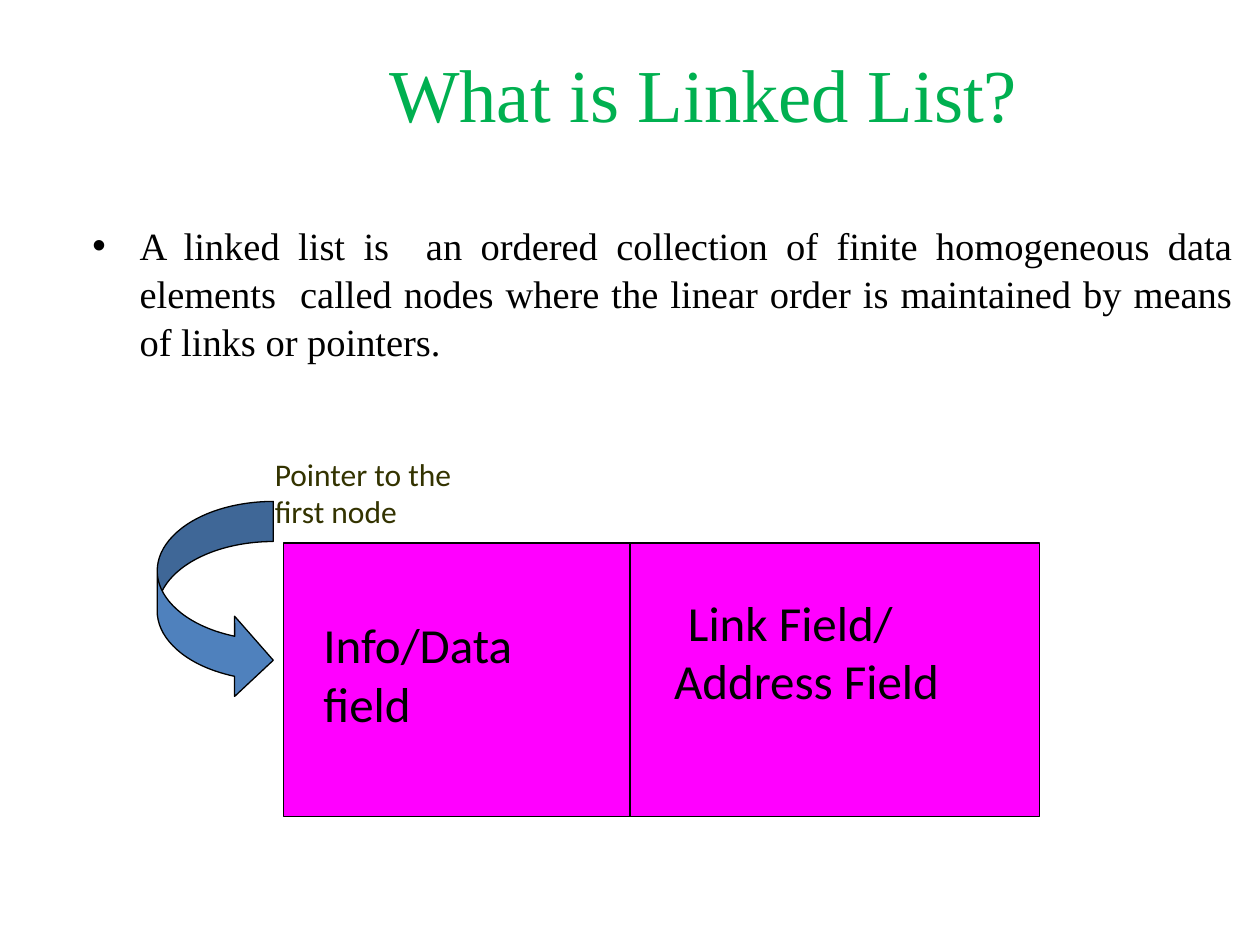
from lxml.etree import SubElement
from pptx import Presentation
from pptx.dml.color import RGBColor
from pptx.enum.shapes import MSO_CONNECTOR, MSO_SHAPE
from pptx.enum.text import MSO_ANCHOR as ANCHOR, MSO_AUTO_SIZE as AUTO, PP_ALIGN as ALIGN
from pptx.oxml.ns import qn
from pptx.util import Cm, Pt

COLORS = {
    "title": "00B050",
    "text": "000000",
    "caption": "333300",
    "node": "FF00FF",
    "arrow": "4F81BD",
    "line": "000000",
}
SERIF, SANS = "Times New Roman", "Calibri"


def rgb(name):
    return RGBColor.from_string(COLORS[name])


def place(sp, x, y, w, h):
    sp.left, sp.top, sp.width, sp.height = Cm(x), Cm(y), Cm(w), Cm(h)


def write(p, text, size=18, font=SANS, color="text", align=ALIGN.LEFT):
    p.alignment = align
    p.space_before = Pt(0)
    r = p.add_run()
    r.text = text
    r.font.size, r.font.name = Pt(size), font
    r.font.color.rgb = rgb(color)


def set_indent(p, left, first):
    pPr = p._p.get_or_add_pPr()
    pPr.set("marL", str(Cm(left)))
    pPr.set("indent", str(Cm(first)))
    return pPr


def add_label(s, box, lines, **fmt):
    sp = s.shapes.add_textbox(*map(Cm, box))
    tf = sp.text_frame
    tf.word_wrap = True
    for i, line in enumerate(lines):
        p = tf.paragraphs[0] if i == 0 else tf.add_paragraph()
        write(p, line, **fmt)
    return tf


def add_filled(s, kind, box, fill):
    sp = s.shapes.add_shape(kind, *map(Cm, box))
    sp.shadow.inherit = False
    sp.fill.solid()
    sp.fill.fore_color.rgb = rgb(fill)
    sp.line.color.rgb = rgb("line")
    sp.line.width = Pt(0.75)
    return sp


def fill_title(s, x, y, w, h):
    sp = s.shapes.title
    place(sp, x, y, w, h)
    tf = sp.text_frame
    tf.auto_size, tf.vertical_anchor = AUTO.NONE, ANCHOR.MIDDLE
    write(tf.paragraphs[0], "What is Linked List?", size=42.7, font=SERIF,
          color="title", align=ALIGN.CENTER)


def fill_definition(s, x, y, w, h):
    sp = s.placeholders[1]
    place(sp, x, y, w, h)
    tf = sp.text_frame
    tf.auto_size = AUTO.NONE
    p = tf.paragraphs[0]
    p.line_spacing = 1.04
    write(p, "A linked list is  an ordered collection of finite homogeneous data "
          "elements  called nodes where the linear order is maintained by means "
          "of links or pointers.", size=22, font=SERIF, align=ALIGN.JUSTIFY)
    pPr = set_indent(p, 0.96, -0.95)
    SubElement(pPr, qn("a:buFont")).set("typeface", "Arial")
    SubElement(pPr, qn("a:buChar")).set("char", "•")


def draw_node(s, x, y, w, h):
    # Two fields split by a divider
    add_filled(s, MSO_SHAPE.RECTANGLE, (x, y, w, h), "node")
    split = x + 6.98
    line = s.shapes.add_connector(MSO_CONNECTOR.STRAIGHT, Cm(split), Cm(y),
                                  Cm(split), Cm(y + h))
    line.line.color.rgb = rgb("line")
    line.line.width = Pt(0.75)
    SubElement(line._element.spPr, qn("a:effectLst"))

    # Field names
    add_label(s, (x + 0.55, y + 1.32, 5.5, 2.6), ["Info/Data field"], size=28)
    tf = add_label(s, (split + 0.64, y + 0.86, 6.35, 2.6),
                   ["Link Field/", "Address Field"], size=28)
    set_indent(tf.paragraphs[0], 0, 0.28)


def draw_pointer(s, x, y, w, h):
    # Curved arrow and its caption
    arrow = add_filled(s, MSO_SHAPE.CURVED_RIGHT_ARROW, (x, y, w, h), "arrow")
    for i, value in enumerate((0.345, 0.691, 0.333)):
        arrow.adjustments[i] = value
    add_label(s, (x + 2.12, y - 1.07, 5.08, 1.78), ["Pointer to the first node"],
              color="caption")


def main():
    prs = Presentation()
    prs.slide_width, prs.slide_height = Cm(25.4), Cm(19.05)
    s = prs.slides.add_slide(prs.slide_layouts[1])
    fill_title(s, 4.24, 0.84, 19.89, 2.06)
    fill_definition(s, 1.6, 4.32, 23.5, 4.1)
    draw_node(s, 5.72, 10.95, 15.24, 5.51)
    draw_pointer(s, 3.17, 10.11, 2.34, 4.01)
    prs.save("out.pptx")


if __name__ == "__main__":
    main()
